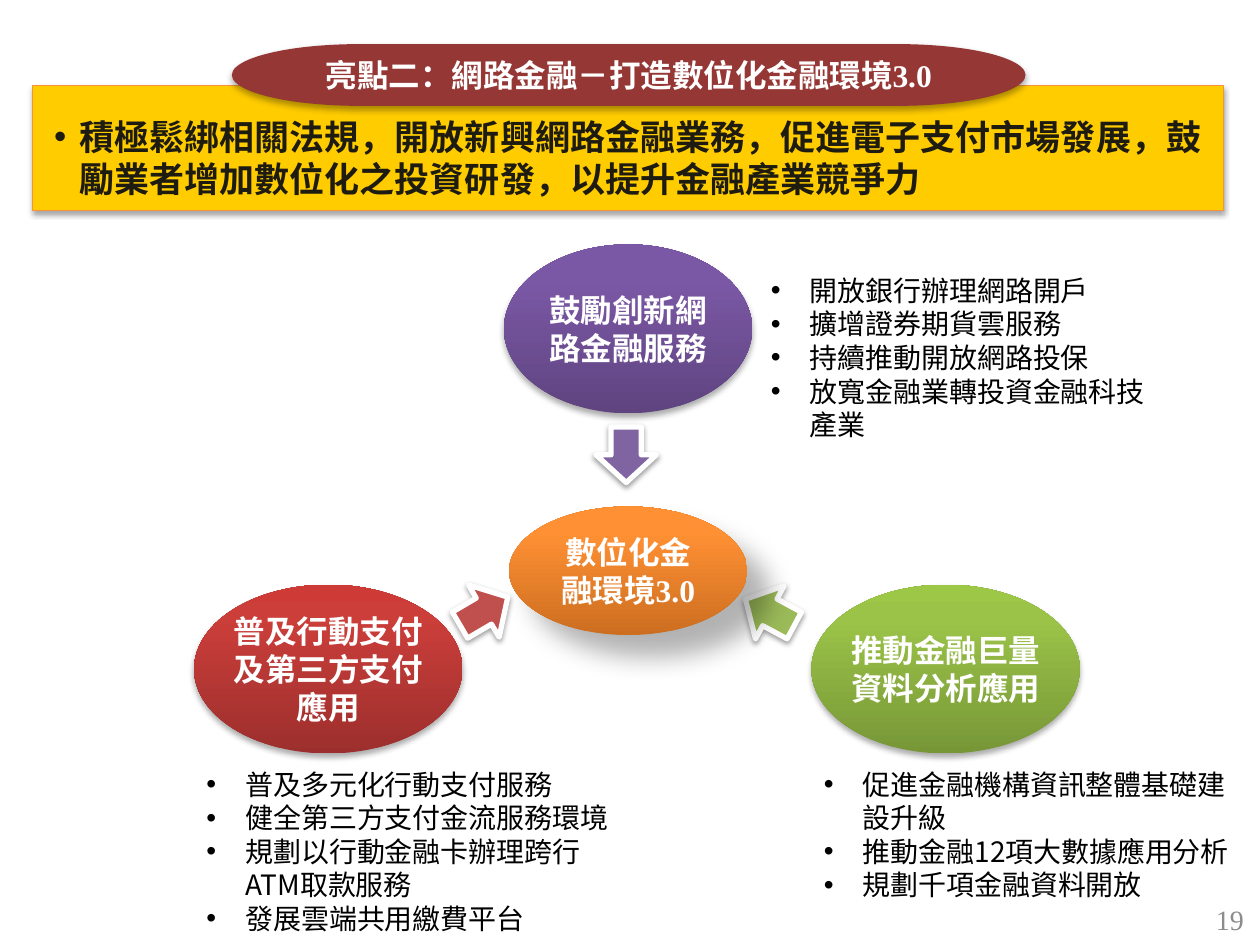
"""Build the slide on digital finance environment 3.0."""
import pptx
import pptx.dml.color
import pptx.enum.shapes
import pptx.enum.text
import pptx.oxml
import pptx.oxml.ns
import pptx.util
from lxml import etree

Inches = pptx.util.Inches
SHAPE = pptx.enum.shapes.MSO_SHAPE
ALIGN = pptx.enum.text.PP_ALIGN
ANCHOR = pptx.enum.text.MSO_ANCHOR
qn = pptx.oxml.ns.qn

SANS = "Noto Sans CJK SC"
SERIF = "Times New Roman"
COLORS = {
    "white": "FFFFFF", "black": "000000", "gray": "8C8C8C", "ink": "1E1C11",
    "gold": "FFCC00", "gold_edge": "F69240", "title": "953735",
    "green": "9BBB59", "purple": "8064A2", "red": "C0504D",
}
GRADIENTS = {
    "orange": ("CC6E20", "FF9034", "FF9136"),
    "purple": ("5F4480", "7B58A6", "7C57A8"),
    "red": ("9C2F2D", "CB3E3A", "CE3B37"),
    "green": ("779737", "9BC348", "9DC746"),
}
SHADOWS = {
    "banner": (35, 3.1, 1.8, 90), "raised": (32, 3.5, 2.2, 90),
    "arrow": (38, 3.1, 1.6, 90), "center": (30, 15, 18, 45),
}
BANNER = "積極鬆綁相關法規，開放新興網路金融業務，促進電子支付市場發展，鼓勵業者增加數位化之投資研發，以提升金融產業競爭力"
ARROWS = [
    ((5.89, 4.62), 28.3, "green"),
    ((4.75, 3.37), 270, "purple"),
    ((3.62, 4.61), 149.6, "red"),
]
TOPICS = [
    ((4, 1.94, 1.97, 1.34), "purple", "鼓勵創新網路金融服務",
     (6.02, 2.12, 3.23, 1.45),
     ["開放銀行辦理網路開戶", "擴增證券期貨雲服務", "持續推動開放網路投保",
      "放寬金融業轉投資金融科技產業"]),
    ((1.54, 4.64, 2.13, 1.34), "red", "普及行動支付及第三方支付應用",
     (1.54, 6.04, 3.54, 1.45),
     ["普及多元化行動支付服務", "健全第三方支付金流服務環境",
      "規劃以行動金融卡辦理跨行ATM取款服務", "發展雲端共用繳費平台"]),
    ((6.44, 4.64, 2.13, 1.34), "green", "推動金融巨量資料分析應用",
     (6.44, 6.04, 3.54, 1.18),
     ["促進金融機構資訊整體基礎建設升級", "推動金融12項大數據應用分析",
      "規劃千項金融資料開放"]),
]


def rgb(name):
    """Return the named colour."""
    return pptx.dml.color.RGBColor.from_string(COLORS[name])


def apply_format(target, values):
    """Set each attribute of the target from a dict."""
    for name, value in values.items():
        setattr(target, name, value)


def add_span(para, text, size, color, bold=False, font=SANS):
    """Add a run with Latin and East Asian fonts."""
    span = para.add_run()
    span.text = text
    apply_format(span.font, {"size": pptx.util.Pt(size), "bold": bold, "name": font})
    span.font.color.rgb = rgb(color)
    etree.SubElement(span.font._element, qn("a:ea"), typeface=font)


def add_bullet(para, indent, hanging):
    """Give a paragraph a round bullet with a hanging indent."""
    properties = para._p.get_or_add_pPr()
    properties.set("marL", str(Inches(indent)))
    properties.set("indent", str(-Inches(hanging)))
    etree.SubElement(properties, qn("a:buFont"), typeface="Arial")
    etree.SubElement(properties, qn("a:buChar"), char="•")


def set_frame(box, anchor, insets=(0.1, 0.05, 0.1, 0.05)):
    """Set wrapping, anchor and insets and return the first paragraph."""
    frame = box.text_frame
    sides = ("margin_left", "margin_top", "margin_right", "margin_bottom")
    apply_format(frame, {"word_wrap": True, "vertical_anchor": anchor})
    apply_format(frame, dict(zip(sides, map(Inches, insets))))
    return frame.paragraphs[0]


def add_shadow(shape, name):
    """Give a shape an outer shadow."""
    opacity, blur, distance, angle = SHADOWS[name]
    shape.shadow.inherit = False
    effects = shape._element.spPr.find(qn("a:effectLst"))
    outer = etree.SubElement(
        effects, qn("a:outerShdw"), blurRad=str(pptx.util.Pt(blur)),
        dist=str(pptx.util.Pt(distance)), dir=str(angle * 60000), rotWithShape="0")
    color = etree.SubElement(outer, qn("a:srgbClr"), val=COLORS["black"])
    etree.SubElement(color, qn("a:alpha"), val=str(opacity * 1000))


def add_figure(page, kind, area, shadow, fill=None, line=None, width=0):
    """Add a preset shape with fill, line and shadow."""
    shape = page.shapes.add_shape(kind, *map(Inches, area))
    if fill:
        shape.fill.solid()
        shape.fill.fore_color.rgb = rgb(fill)
    if line:
        shape.line.color.rgb = rgb(line)
        shape.line.width = pptx.util.Pt(width)
    else:
        shape.line.fill.background()
    add_shadow(shape, shadow)
    return shape


def add_oval(page, area, gradient, shadow, spans, insets):
    """Add a shaded ellipse with a centred label."""
    oval = add_figure(page, SHAPE.OVAL, area, shadow)
    oval.fill.gradient()
    oval.fill.gradient_angle = 90
    stops = oval._element.spPr.find(".//" + qn("a:gsLst"))
    for stop in list(stops):
        stops.remove(stop)
    for position, color in zip((0, 80, 100), GRADIENTS[gradient]):
        stop = etree.SubElement(stops, qn("a:gs"), pos=str(position * 1000))
        etree.SubElement(stop, qn("a:srgbClr"), val=color)
    add_label(oval, spans, insets)


def add_label(shape, spans, insets):
    """Write a bold white centred label from text and font pairs."""
    para = set_frame(shape, ANCHOR.MIDDLE, insets)
    para.alignment = ALIGN.CENTER
    for text, font in spans:
        add_span(para, text, 18, "white", True, font)


def add_list(page, area, items):
    """Add a text box with one bullet per item."""
    box = page.shapes.add_textbox(*map(Inches, area))
    para = set_frame(box, ANCHOR.TOP)
    for index, item in enumerate(items):
        if index:
            para = box.text_frame.add_paragraph()
        add_bullet(para, 0.31, 0.31)
        add_span(para, item, 16, "black")


def add_heading(page):
    """Add the gold banner and the title on its upper edge."""
    banner = add_figure(page, SHAPE.RECTANGLE, (0.26, 0.68, 9.45, 0.99),
                        "banner", "gold", "gold_edge", 0.75)
    para = set_frame(banner, ANCHOR.TOP, (0.08, 0.24, 0.08, 0.08))
    para.alignment = ALIGN.LEFT
    add_bullet(para, 0.29, 0.2)
    add_span(para, BANNER, 20, "ink", True)
    title = add_figure(page, SHAPE.FLOWCHART_TERMINATOR, (1.84, 0.35, 6.3, 0.49),
                       "raised", "title")
    add_label(title, [("亮點二：網路金融－打造數位化金融環境", SANS), ("3.0", SERIF)],
              (0.04,) * 4)


def add_page_number(page, number):
    """Add the page number at the lower right."""
    box = page.shapes.add_textbox(*map(Inches, (7.64, 7.1, 2.33, 0.4)))
    para = set_frame(box, ANCHOR.MIDDLE)
    para.alignment = ALIGN.RIGHT
    add_span(para, number, 16, "gray", font=SERIF)


def main():
    """Build and save the deck."""
    deck = pptx.Presentation()
    apply_format(deck, {"slide_width": Inches(10), "slide_height": Inches(7.5)})
    page = deck.slides.add_slide(deck.slide_layouts[6])
    add_page_number(page, "19")
    add_heading(page)
    for corner, rotation, color in ARROWS:
        arrow = add_figure(page, SHAPE.LEFT_ARROW, (*corner, 0.44, 0.48),
                           "arrow", color, "white", 3)
        arrow.rotation = rotation
    add_oval(page, (4.04, 4.02, 1.89, 1.02), "orange", "center",
             [("數位化金融環境", SANS), ("3.0", SERIF)], (0.1, 0.05, 0.1, 0.05))
    for area, gradient, label, list_area, items in TOPICS:
        add_oval(page, area, gradient, "raised", [(label, SANS)], (0,) * 4)
        add_list(page, list_area, items)
    deck.save("out.pptx")


if __name__ == "__main__":
    main()
